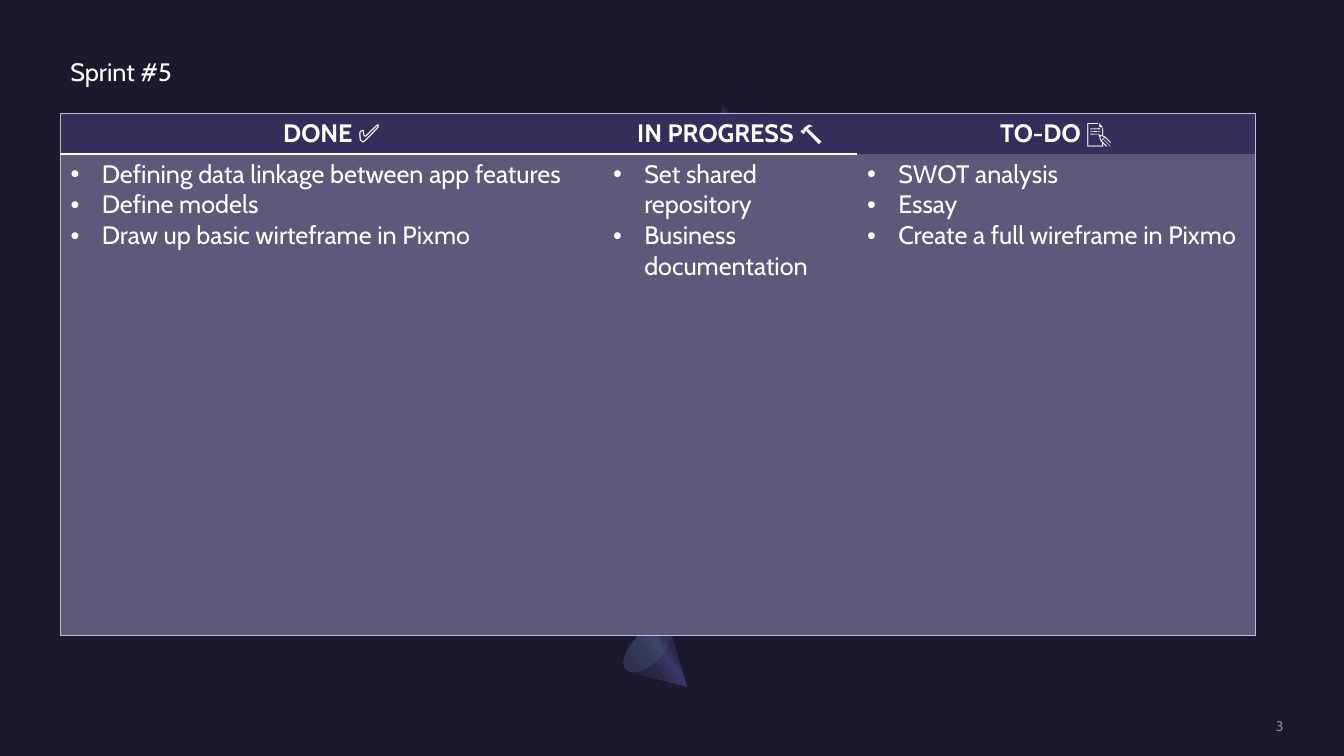
from lxml import etree
from pptx import Presentation
from pptx.dml.color import RGBColor
from pptx.enum import shapes, text
from pptx.oxml import ns
from pptx.util import Inches, Pt

# Content
TITLE = "Sprint #5"
PAGE = "3"
BOARD = [
    ("DONE ✅", 5.38, ["Defining data linkage between app features",
                      "Define models",
                      "Draw up basic wirteframe in Pixmo"]),
    ("IN PROGRESS 🔨", 2.52, ["Set shared repository",
                             "Business documentation"]),
    ("TO-DO 📝", 3.95, ["SWOT analysis", "Essay",
                       "Create a full wireframe in Pixmo"]),
]
ROWS = (0.4, 4.78)
LEFT, TOP = 0.6, 1.12
CONE = [(6.81, 6.81), (6.24, 6.66), (6.19, 6.6), (6.2, 6.5), (6.32, 6.32),
        (6.5, 6.2), (6.6, 6.19), (6.65, 6.25)]

THEME = {
    "font": "Cabin", "body": 18, "small": 10,
    "back": "1B192E", "ink": "FFFFFF", "page": "8A8A8E",
    "head": "332F5A", "cell": "5C597B", "edge": "BFBFC4",
    "orb": [(60, "1B192E", 100), (100, "7771B2", 100)],
    "cone": [(30, "2C284A", 100), (40, "3C3867", 100),
             (60, "2C284A", 100), (100, "1B192E", 100)],
    "base": [(0, "454075", 33), (100, "5BEFC1", 0)],
}


def rgb(name):
    return RGBColor.from_string(THEME[name])


def sub(node, tag, **attrs):
    return etree.SubElement(node, ns.qn(tag), attrs)


def style(para, size="body", ink="ink", bold=False):
    font = para.font
    font.name, font.size, font.bold = THEME["font"], Pt(THEME[size]), bold
    font.color.rgb = rgb(ink)


def shade(shape, name, angle=None):
    """Gradient fill: linear at an angle, or round from the lower left."""
    shape.shadow.inherit = False
    shape.line.fill.background()
    grad = etree.Element(ns.qn("a:gradFill"), rotWithShape="1")
    stops = sub(grad, "a:gsLst")
    for pos, tone, alpha in THEME[name]:
        stop = sub(stops, "a:gs", pos=str(pos * 1000))
        tint = sub(stop, "a:srgbClr", val=tone)
        if alpha < 100:
            sub(tint, "a:alpha", val=str(alpha * 1000))
    if angle is None:
        way = sub(grad, "a:path", path="circle")
        sub(way, "a:fillToRect", l="100000", b="100000")
    else:
        sub(grad, "a:lin", ang=str(angle * 60000), scaled="0")
    shape.element.spPr.find(ns.qn("a:ln")).addprevious(grad)


def border(cell, sides):
    """Draw the given sides (colour name, points) and clear the others."""
    props = cell._tc.get_or_add_tcPr()
    for side in "LRTB":
        tone, width = sides.get(side, (None, 0))
        line = sub(props, "a:ln" + side, w=str(Pt(width)))
        if tone:
            sub(sub(line, "a:solidFill"), "a:srgbClr", val=THEME[tone])
        else:
            sub(line, "a:noFill")


def bullet(para):
    props = para._p.get_or_add_pPr()
    props.set("marL", str(Inches(0.31)))
    props.set("indent", str(-Inches(0.31)))
    mark = etree.Element(ns.qn("a:buChar"), char="•")
    props.insert(0, mark)
    mark.addprevious(etree.Element(ns.qn("a:buFont"), typeface="Arial"))


def ellipse(slide, *box):
    return slide.shapes.add_shape(shapes.MSO_SHAPE.OVAL, *map(Inches, box))


def decor(slide):
    shade(ellipse(slide, 7.16, 0.93, 0.39, 0.39), "orb")
    pen = slide.shapes.build_freeform(*map(Inches, CONE[0]))
    pen.add_line_segments([tuple(map(Inches, spot)) for spot in CONE[1:]])
    shade(pen.convert_to_shape(), "cone", 145)
    base = ellipse(slide, 6.27, 6.13, 0.3, 0.59)
    base.rotation = 225
    shade(base, "base", 90)


def board(slide):
    width = sum(col[1] for col in BOARD)
    frame = slide.shapes.add_table(
        len(ROWS), len(BOARD),
        *map(Inches, (LEFT, TOP, width, sum(ROWS))))
    table = frame.table
    table.first_row = table.horz_banding = False
    for row, high in zip(table.rows, ROWS):
        row.height = Inches(high)
    last = len(BOARD) - 1
    thin, rule = ("edge", 0.5), ("ink", 1.5)
    for col, (head, wide, items) in enumerate(BOARD):
        table.columns[col].width = Inches(wide)
        outer = {}
        if col == 0:
            outer["L"] = thin
        if col == last:
            outer["R"] = thin
        inner = rule if col < last else (None, 0)
        top, low = table.cell(0, col), table.cell(1, col)
        border(top, {**outer, "T": thin, "B": inner})
        border(low, {**outer, "T": inner, "B": thin})
        for cell, tone, words in ((top, "head", [head]), (low, "cell", items)):
            cell.fill.solid()
            cell.fill.fore_color.rgb = rgb(tone)
            cell.text_frame.text = "\n".join(words)
            for para in cell.text_frame.paragraphs:
                style(para, bold=cell is top)
                if cell is low:
                    bullet(para)
        top.vertical_anchor = text.MSO_ANCHOR.MIDDLE
        top.text_frame.paragraphs[0].alignment = text.PP_ALIGN.CENTER


def label(slide, words, box, size="body", ink="ink"):
    frame = slide.shapes.add_textbox(*map(Inches, box)).text_frame
    frame.word_wrap = True
    frame.text = words
    style(frame.paragraphs[0], size, ink)
    return frame


def main():
    deck = Presentation()
    deck.slide_width, deck.slide_height = Inches(13.33), Inches(7.5)
    slide = deck.slides.add_slide(deck.slide_layouts[6])
    slide.background.fill.solid()
    slide.background.fill.fore_color.rgb = rgb("back")

    decor(slide)
    board(slide)

    # Page number and title
    page = label(slide, PAGE, (10.88, 7.12, 1.85, 0.17), "small", "page")
    page.margin_left = page.margin_right = 0
    page.margin_top = page.margin_bottom = 0
    page.vertical_anchor = text.MSO_ANCHOR.MIDDLE
    page.paragraphs[0].alignment = text.PP_ALIGN.RIGHT
    label(slide, TITLE, (LEFT, 0.51, 1.73, 0.4))
    deck.save("out.pptx")


if __name__ == "__main__":
    main()
